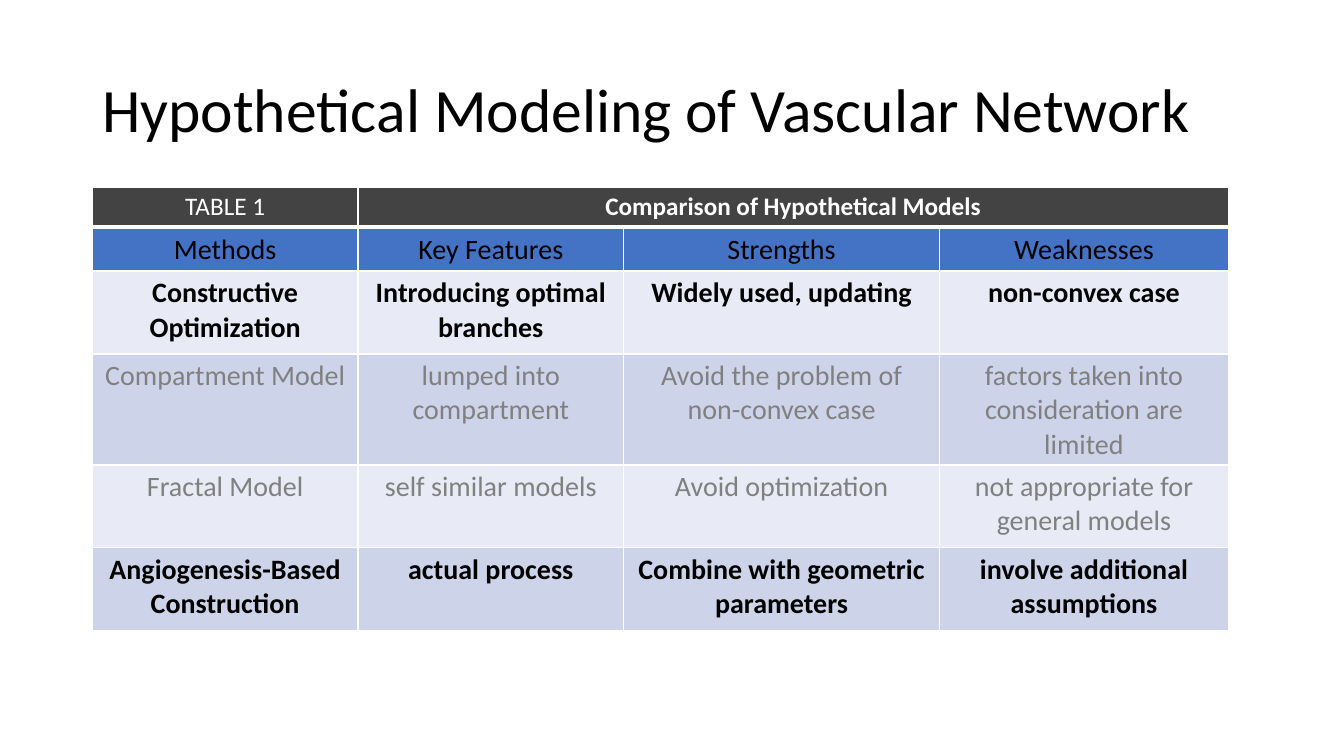
"""Build the slide comparing hypothetical models of vascular networks."""
from dataclasses import dataclass
from typing import Any

from lxml import etree
from pptx import Presentation
from pptx import util as u
from pptx.dml.color import RGBColor
from pptx.enum import text
from pptx.oxml import ns

PX = 9525
FONT = "Calibri"
BLACK = RGBColor(0, 0, 0)
WHITE = RGBColor(255, 255, 255)
GRAY = RGBColor(0x80, 0x80, 0x80)
DARK = RGBColor(0x43, 0x43, 0x43)
BLUE = RGBColor(0x44, 0x72, 0xC4)
PALE = RGBColor(0xE8, 0xEB, 0xF5)
MIST = RGBColor(0xCD, 0xD4, 0xEA)
MID = text.MSO_ANCHOR.MIDDLE
TOP = text.MSO_ANCHOR.TOP
COLS = (253, 253, 301, 275)


@dataclass(frozen=True)
class Row:
    """One table row with its look."""
    high: int
    words: tuple[str, ...]
    fill: RGBColor
    color: RGBColor = BLACK
    bold: bool = False
    size: int = 20
    mids: int = 0
    above: int = 1
    below: int = 1


ROWS = (
    Row(37, ("TABLE 1", "Comparison of Hypothetical Models"), DARK, WHITE,
        True, 18, mids=2, below=3),
    Row(26, ("Methods", "Key Features", "Strengths", "Weaknesses"), BLUE,
        mids=2, above=3),
    Row(79, ("Constructive Optimization", "Introducing optimal branches",
             "Widely used, updating", "non-convex case"), PALE, bold=True),
    Row(100, ("Compartment Model", "lumped into compartment",
              "Avoid the problem of non-convex case",
              "factors taken into consideration are limited"), MIST, GRAY),
    Row(79, ("Fractal Model", "self similar models", "Avoid optimization",
             "not appropriate for general models"), PALE, GRAY),
    Row(79, ("Angiogenesis-Based Construction", "actual process",
             "Combine with geometric parameters",
             "involve additional assumptions"), MIST, bold=True),
)


def px(*sides: int) -> list[int]:
    """Turn px lengths into EMU."""
    return [side * PX for side in sides]


def write(para: Any, words: str, size: int, color: RGBColor, bold: bool) -> None:
    """Put one styled run in a paragraph."""
    run = para.add_run()
    run.text = words
    look = {"name": FONT, "size": u.Pt(size), "bold": bold}
    for key, value in look.items():
        setattr(run.font, key, value)
    run.font.color.rgb = color


def edge(cell: Any, row: Row) -> None:
    """Draw white borders round a cell."""
    props = cell._tc.get_or_add_tcPr()
    sides = {"L": 1, "R": 1, "T": row.above, "B": row.below}
    for side, wide in sides.items():
        line = etree.SubElement(props, ns.qn(f"a:ln{side}"), w=str(u.Pt(wide)))
        fill = etree.SubElement(line, ns.qn("a:solidFill"))
        etree.SubElement(fill, ns.qn("a:srgbClr"), val=str(WHITE))


def head(slide: Any) -> None:
    """Add the slide title."""
    frame = slide.shapes.add_textbox(*px(88, 38, 1104, 139)).text_frame
    frame.word_wrap = True
    frame.vertical_anchor = MID
    para = frame.paragraphs[0]
    para.line_spacing = 0.9
    write(para, "Hypothetical Modeling of Vascular Network", 44, BLACK, False)


def grid(slide: Any) -> None:
    """Add the table of models."""
    high = sum(row.high for row in ROWS)
    box = px(88, 178, sum(COLS), high)
    table = slide.shapes.add_table(len(ROWS), len(COLS), *box).table
    table.horz_banding = False
    for col, wide in zip(table.columns, COLS):
        col.width = wide * PX
    for y, row in enumerate(ROWS):
        table.rows[y].height = row.high * PX
        for x in range(len(COLS)):
            cell = table.cell(y, x)
            edge(cell, row)
            cell.fill.solid()
            cell.fill.fore_color.rgb = row.fill
            cell.vertical_anchor = MID if x < row.mids else TOP
        for x, words in enumerate(row.words):
            para = table.cell(y, x).text_frame.paragraphs[0]
            para.alignment = text.PP_ALIGN.CENTER
            bold = row.bold and words != "TABLE 1"
            write(para, words, row.size, row.color, bold)
    table.cell(0, 1).merge(table.cell(0, 3))


def main() -> None:
    """Build and save the deck."""
    deck = Presentation()
    deck.slide_width, deck.slide_height = px(1280, 720)
    slide = deck.slides.add_slide(deck.slide_layouts[6])
    head(slide)
    grid(slide)
    deck.save("out.pptx")


if __name__ == "__main__":
    main()
